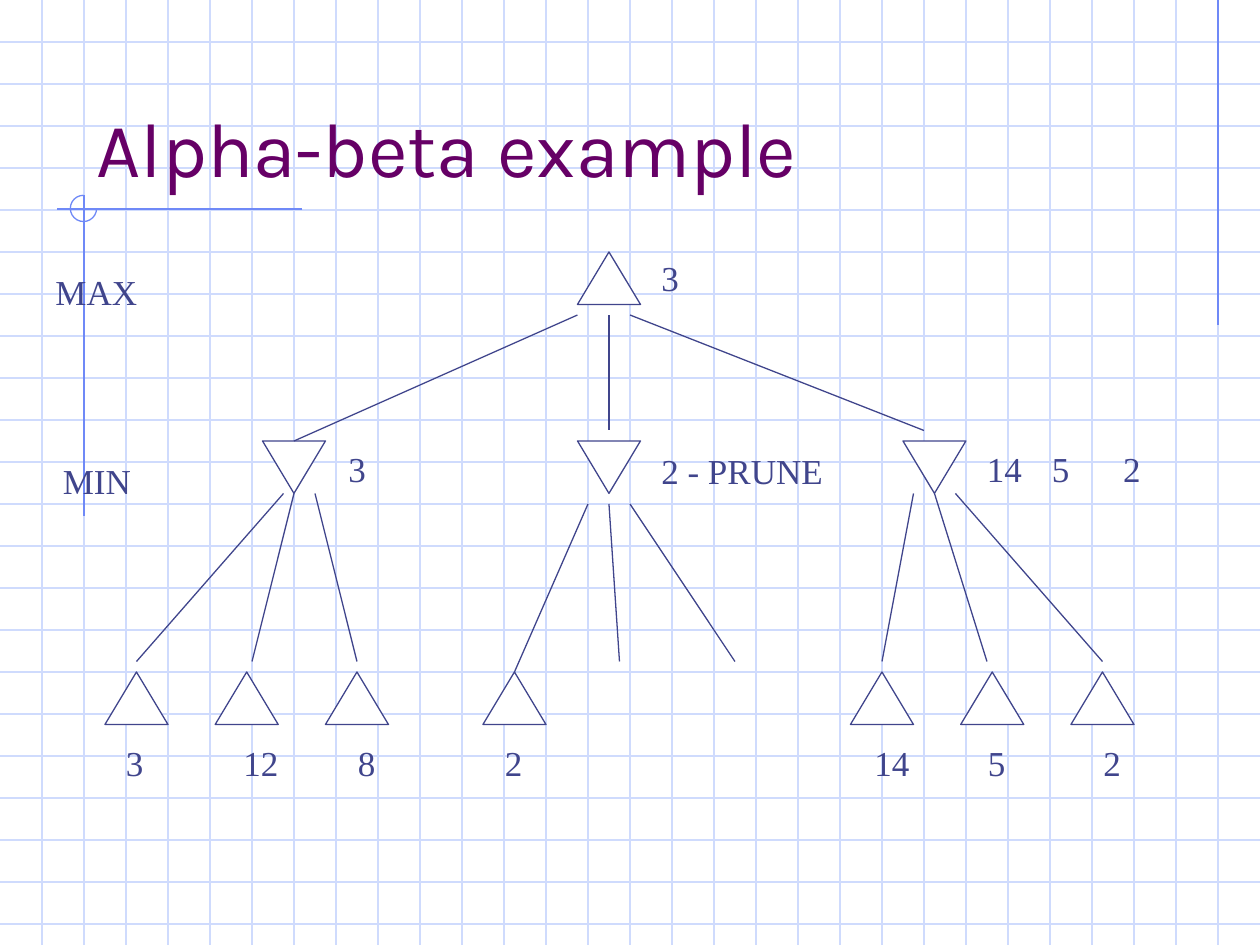
from dataclasses import dataclass

from lxml import etree
from pptx import Presentation
from pptx.dml.color import RGBColor
from pptx.enum.shapes import MSO_CONNECTOR, MSO_SHAPE
from pptx.enum.text import MSO_ANCHOR, MSO_AUTO_SIZE
from pptx.oxml.ns import qn
from pptx.util import Inches, Pt

PAPER_BLUE = RGBColor(0xCF, 0xDB, 0xFD)
MARK_BLUE = RGBColor(0x6F, 0x89, 0xF7)
INK = RGBColor(0x40, 0x45, 0x8C)
PURPLE = RGBColor(0x66, 0x00, 0x66)
WHITE = RGBColor(0xFF, 0xFF, 0xFF)

STRAIGHT = MSO_CONNECTOR.STRAIGHT
TRIANGLE = MSO_SHAPE.ISOSCELES_TRIANGLE
ARC = MSO_SHAPE.ARC
TOP, BOTTOM = MSO_ANCHOR.TOP, MSO_ANCHOR.BOTTOM
FIT_TEXT, FIXED = MSO_AUTO_SIZE.SHAPE_TO_FIT_TEXT, MSO_AUTO_SIZE.NONE

COLS, ROWS = 120, 90
PAPER_STEP = 4
NODE_COLS, NODE_ROWS = 6, 5
LABEL_ROWS = 5.3
MIN_ROW, LEAF_ROW, VALUE_ROW = 18, 40, 46


@dataclass
class Box:
    """A region measured in grid columns and rows, twelve to the inch."""
    left: float
    top: float
    cols: float
    rows: float

    def point(self, col, row):
        """Slide position of a grid point inside the region."""
        return Inches((self.left + col) / 12), Inches((self.top + row) / 12)

    def area(self, col, row, cols, rows):
        """Slide position and size of an area inside the region."""
        return *self.point(col, row), Inches(cols / 12), Inches(rows / 12)


def add_line(slide, box, start, end, color):
    """Draw a thin straight line between two grid points."""
    line = slide.shapes.add_connector(STRAIGHT, *box.point(*start), *box.point(*end))
    line.line.color.rgb = color
    line.line.width = Pt(0.75)
    etree.SubElement(line._element.spPr, qn("a:effectLst"))


def add_text(slide, area, text, font="Times New Roman", size=20, color=INK,
             anchor=TOP, wrap=False, fit=FIT_TEXT):
    """Write one line of text in a box."""
    frame = slide.shapes.add_textbox(*area).text_frame
    frame.word_wrap = wrap
    frame.auto_size = fit
    frame.vertical_anchor = anchor
    run = frame.paragraphs[0].add_run()
    run.text = text
    run.font.name = font
    run.font.size = Pt(size)
    run.font.color.rgb = color


def add_value(slide, box, text, col, row):
    """Write a number in a box as wide as its digits."""
    add_text(slide, box.area(col, row, 2.4 + 1.68 * len(text), LABEL_ROWS), text)


def add_outline(slide, preset, area, color):
    """Add a preset shape with a thin outline."""
    shape = slide.shapes.add_shape(preset, *area)
    shape.shadow.inherit = False
    shape.line.color.rgb = color
    shape.line.width = Pt(0.75)
    return shape


def add_node(slide, box, col, row, minimizes=False):
    """Draw a game-tree node, pointing down when it minimizes."""
    node = add_outline(slide, TRIANGLE, box.area(col, row, NODE_COLS, NODE_ROWS), INK)
    node.fill.solid()
    node.fill.fore_color.rgb = WHITE
    if minimizes:
        node._element.spPr.get_or_add_xfrm().set("flipV", "1")


def draw_paper(slide, box):
    """Rule the region as graph paper."""
    for row in range(PAPER_STEP, box.rows, PAPER_STEP):
        add_line(slide, box, (0, row), (box.cols, row), PAPER_BLUE)
    for col in range(PAPER_STEP, box.cols, PAPER_STEP):
        add_line(slide, box, (col, 0), (col, box.rows), PAPER_BLUE)


def draw_corner_mark(slide, box):
    """Draw crossing lines with a three-quarter circle at their meeting."""
    add_line(slide, box, (box.cols, 1.3), (0, 1.3), MARK_BLUE)
    add_line(slide, box, (2.6, 0), (2.6, box.rows), MARK_BLUE)
    circle = add_outline(slide, ARC, box.area(1.3, 0, 2.5, 2.5), MARK_BLUE)
    circle.fill.background()
    circle.adjustments[0] = 0
    circle.adjustments[1] = 162


def draw_title(slide, box):
    """Write the slide title at the foot of its region."""
    add_text(slide, box.area(0, 0, box.cols, box.rows), "Alpha-beta example",
             font="Karla", size=44, color=PURPLE, anchor=BOTTOM, wrap=True, fit=FIXED)


def draw_levels(slide, box):
    """Name the player at each level of the tree."""
    for player, col, row, cols in (("MAX", 0.1, 1.2, 10.2), ("MIN", 0.8, 19.2, 8.9)):
        add_text(slide, box.area(col, row, cols, LABEL_ROWS), player)


def draw_tree(slide, box):
    """Draw the pruned game tree with its nodes, branches and values."""
    add_node(slide, box, 45, 0)
    for col in (15, 45, 76):
        add_node(slide, box, col, MIN_ROW, minimizes=True)
    for col in (0, 10.5, 21, 36, 71, 81.5, 92):
        add_node(slide, box, col, LEAF_ROW)

    branches = (
        ((45, 6), (18, 18)), ((48, 6), (48, 17)), ((50, 6), (78, 17)),
        ((17, 23), (3, 39)), ((18, 23), (14, 39)), ((20, 23), (24, 39)),
        ((46, 24), (39, 40)), ((48, 24), (49, 39)), ((50, 24), (60, 39)),
        ((77, 23), (74, 39)), ((79, 23), (84, 39)), ((81, 23), (95, 39)),
    )
    for start, end in branches:
        add_line(slide, box, start, end, INK)

    leaf_values = (("3", 0.8), ("12", 12), ("8", 22.9), ("2", 36.9),
                   ("14", 72.1), ("5", 82.9), ("2", 93.9))
    for value, col in leaf_values:
        add_value(slide, box, value, col, VALUE_ROW)
    min_values = (("3", 22), ("14", 82.8), ("5", 89), ("2", 95.8))
    for value, col in min_values:
        add_value(slide, box, value, col, MIN_ROW)
    add_value(slide, box, "3", 51.8, -0.2)
    add_text(slide, box.area(51.8, MIN_ROW + 0.2, 17.8, LABEL_ROWS), "2 - PRUNE")


def main():
    """Build and save the slide."""
    deck = Presentation()
    deck.slide_width, deck.slide_height = Inches(COLS / 12), Inches(ROWS / 12)
    slide = deck.slides.add_slide(deck.slide_layouts[6])
    page = Box(0, 0, COLS, ROWS)
    draw_paper(slide, page)
    add_line(slide, page, (116, 0), (116, 31), MARK_BLUE)
    draw_corner_mark(slide, Box(5.4, 18.6, 23.4, 30.5))
    draw_title(slide, Box(8, 4, 102, 15))
    draw_levels(slide, Box(4, 24, 11, 25))
    draw_tree(slide, Box(10, 24, 100, 52))
    deck.save("out.pptx")


if __name__ == "__main__":
    main()
